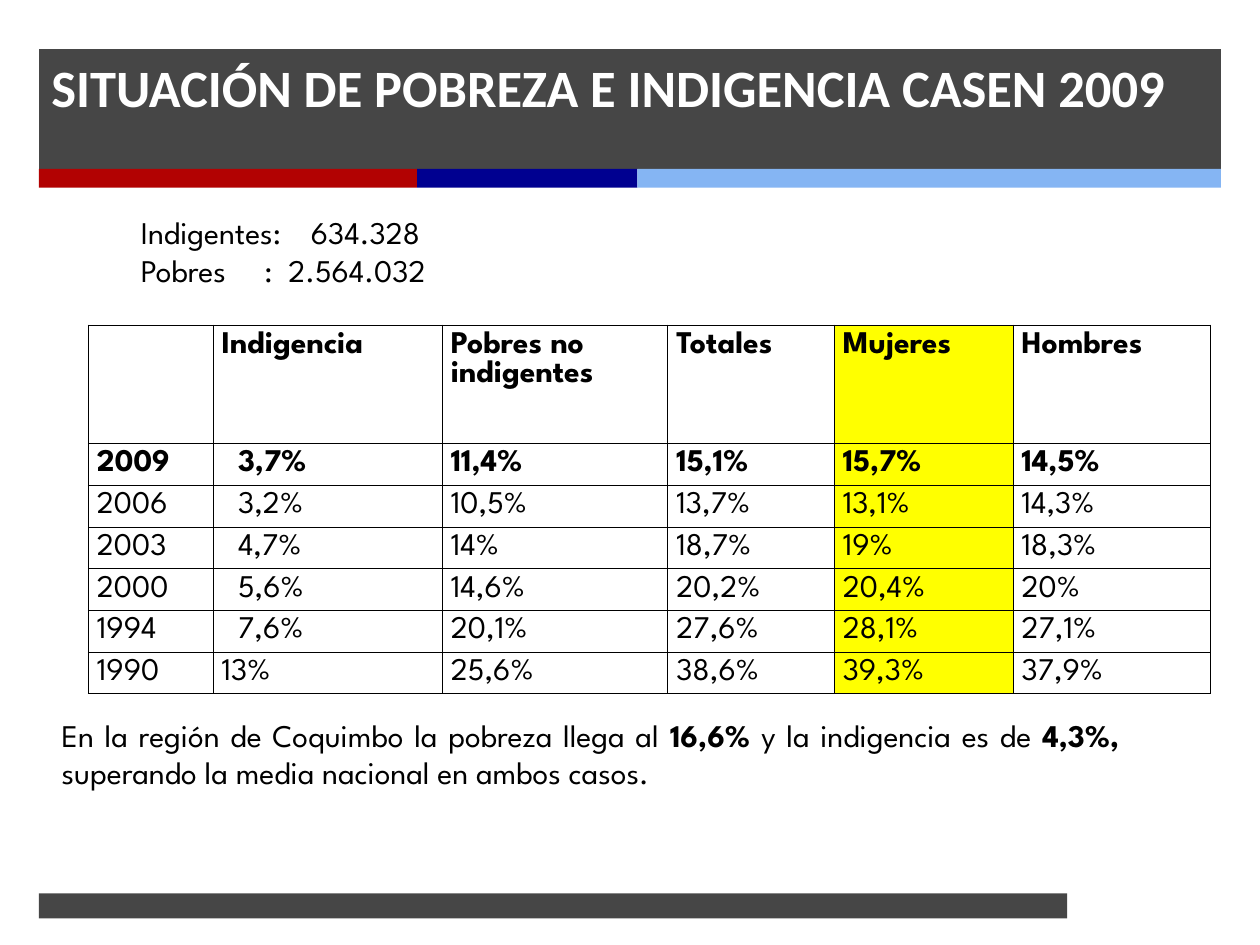
from dataclasses import dataclass

from lxml.etree import SubElement
from pptx import Presentation
from pptx.dml.color import RGBColor
from pptx.enum.shapes import MSO_SHAPE
from pptx.enum.text import MSO_ANCHOR, PP_ALIGN
from pptx.oxml.ns import qn
from pptx.util import Inches, Pt


@dataclass(frozen=True)
class Theme:
    band: str = "262626"
    band_opacity: int = 85
    red: str = "B20202"
    navy: str = "000090"
    sky: str = "85B5F3"
    highlight: str = "FFFF00"
    ink: str = "000000"
    white: str = "FFFFFF"
    title_font: str = "Calibri"
    body_font: str = "League Spartan"
    title_size: int = 30
    body_size: int = 18
    body_leading: float = 21.6
    table_leading: float = 16.6
    border_width: float = 0.45


THEME = Theme()
HEADINGS = ["", "Indigencia", "Pobres no indigentes", "Totales", "Mujeres", "Hombres"]
RATES = [
    ["2009", "3,7%", "11,4%", "15,1%", "15,7%", "14,5%"],
    ["2006", "3,2%", "10,5%", "13,7%", "13,1%", "14,3%"],
    ["2003", "4,7%", "14%", "18,7%", "19%", "18,3%"],
    ["2000", "5,6%", "14,6%", "20,2%", "20,4%", "20%"],
    ["1994", "7,6%", "20,1%", "27,6%", "28,1%", "27,1%"],
    ["1990", "13%", "25,6%", "38,6%", "39,3%", "37,9%"],
]
COLUMN_WIDTHS = [0.99, 1.82, 1.79, 1.32, 1.42, 1.57]
HEADING_HEIGHT, RATE_HEIGHT = 0.94, 0.33
COUNTS = [
    ("Indigentes:\t634.328", [1.35]),
    ("Pobres\t:\t2.564.032", [0.98, 1.17]),
]
REGION_NOTE = [
    ("En la región de Coquimbo la pobreza llega al ", False),
    ("16,6% ", True),
    ("y la indigencia es de ", False),
    ("4,3%, ", True),
    ("superando la media nacional en ambos casos.", False),
]


def style_font(font, name, size, color):
    font.name = name
    font.size = Pt(size)
    font.color.rgb = RGBColor.from_string(color)


def style_body(paragraph, leading):
    paragraph.line_spacing = Pt(leading)
    style_font(paragraph.font, THEME.body_font, THEME.body_size, THEME.ink)


def add_bar(slide, left, top, width, height, color, opacity=100):
    bar = slide.shapes.add_shape(
        MSO_SHAPE.RECTANGLE, Inches(left), Inches(top), Inches(width), Inches(height)
    )
    bar.shadow.inherit = False
    bar.line.fill.background()
    bar.fill.solid()
    bar.fill.fore_color.rgb = RGBColor.from_string(color)
    if opacity < 100:
        tint = bar.fill._xPr.find(qn("a:solidFill"))[0]
        SubElement(tint, qn("a:alpha"), val=str(opacity * 1000))


def add_frame(slide, left, top, width, height, anchor):
    box = slide.shapes.add_textbox(Inches(left), Inches(top), Inches(width), Inches(height))
    frame = box.text_frame
    frame.word_wrap = True
    frame.vertical_anchor = anchor
    return frame


def set_tab_stops(paragraph, positions):
    stops = SubElement(paragraph._p.get_or_add_pPr(), qn("a:tabLst"))
    for position in positions:
        SubElement(stops, qn("a:tab"), pos=str(Inches(position)), algn="l")
    paragraph._p.pPr.insert_element_before(stops, "a:defRPr", "a:extLst")


def set_borders(cell):
    properties = cell._tc.get_or_add_tcPr()
    for index, side in enumerate(("a:lnL", "a:lnR", "a:lnT", "a:lnB")):
        border = SubElement(properties, qn(side), w=str(Pt(THEME.border_width)))
        paint = SubElement(border, qn("a:solidFill"))
        SubElement(paint, qn("a:srgbClr"), val=THEME.ink)
        properties.insert(index, border)


def add_header(slide, left, top, width, height):
    add_bar(slide, left, top, width, height, THEME.band, THEME.band_opacity)
    stripe_left = left
    for stripe_width, color in ((3, THEME.red), (1.75, THEME.navy), (4.63, THEME.sky)):
        add_bar(slide, stripe_left, top + height, stripe_width, 0.15, color)
        stripe_left += stripe_width
    title = add_frame(slide, left, top, 9.06, 1.1, MSO_ANCHOR.TOP).paragraphs[0]
    title.text = "SITUACIÓN DE POBREZA E INDIGENCIA CASEN 2009"
    style_font(title.font, THEME.title_font, THEME.title_size, THEME.white)
    title.font.bold = True


def add_counts(slide, left, top, width, height):
    frame = add_frame(slide, left, top, width, height, MSO_ANCHOR.MIDDLE)
    for index, (wording, tab_stops) in enumerate(COUNTS):
        count = frame.add_paragraph() if index else frame.paragraphs[0]
        count.text = wording
        style_body(count, THEME.body_leading)
        set_tab_stops(count, tab_stops)


def add_rates(slide, left, top, width, height):
    entries = [HEADINGS] + RATES
    rates = slide.shapes.add_table(
        len(entries), len(HEADINGS), Inches(left), Inches(top), Inches(width), Inches(height)
    ).table
    for column, column_width in zip(rates.columns, COLUMN_WIDTHS):
        column.width = Inches(column_width)
    for row_index, entry in enumerate(entries):
        rates.rows[row_index].height = Inches(RATE_HEIGHT if row_index else HEADING_HEIGHT)
        for column_index, wording in enumerate(entry):
            cell = rates.cell(row_index, column_index)
            indented = HEADINGS[column_index] == "Indigencia" and 0 < row_index < len(RATES)
            cell.margin_left = Inches(0.2 if indented else 0.07)
            cell.margin_right = Inches(0.08)
            if HEADINGS[column_index] == "Mujeres":
                cell.fill.solid()
                cell.fill.fore_color.rgb = RGBColor.from_string(THEME.highlight)
            else:
                cell.fill.background()
            set_borders(cell)
            paragraph = cell.text_frame.paragraphs[0]
            paragraph.text = wording
            style_body(paragraph, THEME.table_leading)
            paragraph.font.bold = row_index < 2


def add_region_note(slide, left, top, width, height):
    note = add_frame(slide, left, top, width, height, MSO_ANCHOR.MIDDLE).paragraphs[0]
    note.alignment = PP_ALIGN.JUSTIFY
    style_body(note, THEME.body_leading)
    for wording, bold in REGION_NOTE:
        run = note.add_run()
        run.text = wording
        run.font.bold = bold


def add_footer(slide, left, top, width, height):
    add_bar(slide, left, top, width, height, THEME.band, THEME.band_opacity)


def main():
    deck = Presentation()
    deck.slide_width, deck.slide_height = Inches(10), Inches(7.5)
    slide = deck.slides.add_slide(deck.slide_layouts[6])
    add_header(slide, 0.31, 0.39, 9.38, 0.95)
    add_footer(slide, 0.31, 7.09, 8.16, 0.2)
    add_rates(slide, 0.7, 2.58, sum(COLUMN_WIDTHS), HEADING_HEIGHT + RATE_HEIGHT * len(RATES))
    add_counts(slide, 1.02, 1.64, 3.44, 0.7)
    add_region_note(slide, 0.39, 5.63, 8.59, 0.7)
    deck.save("out.pptx")


if __name__ == "__main__":
    main()
